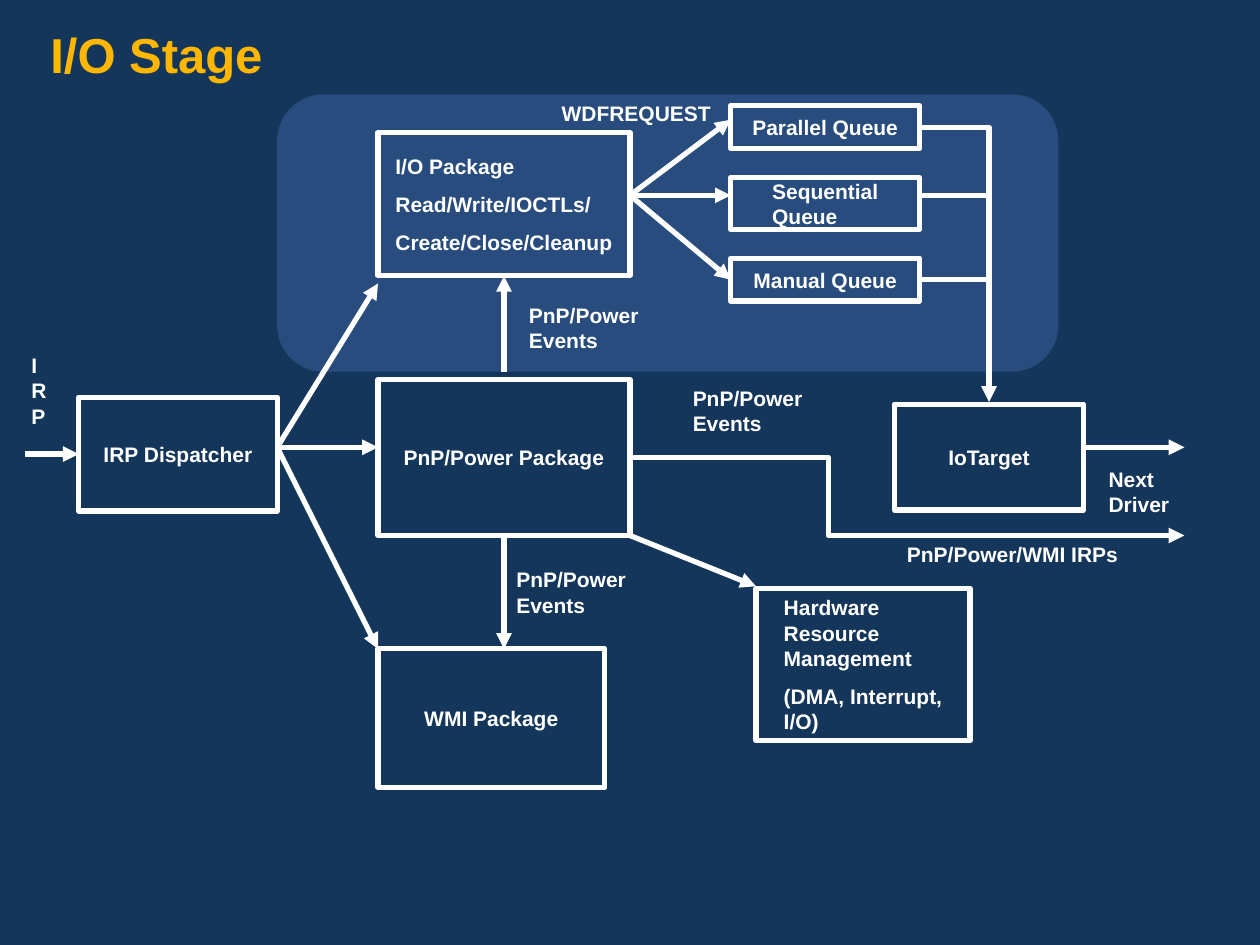
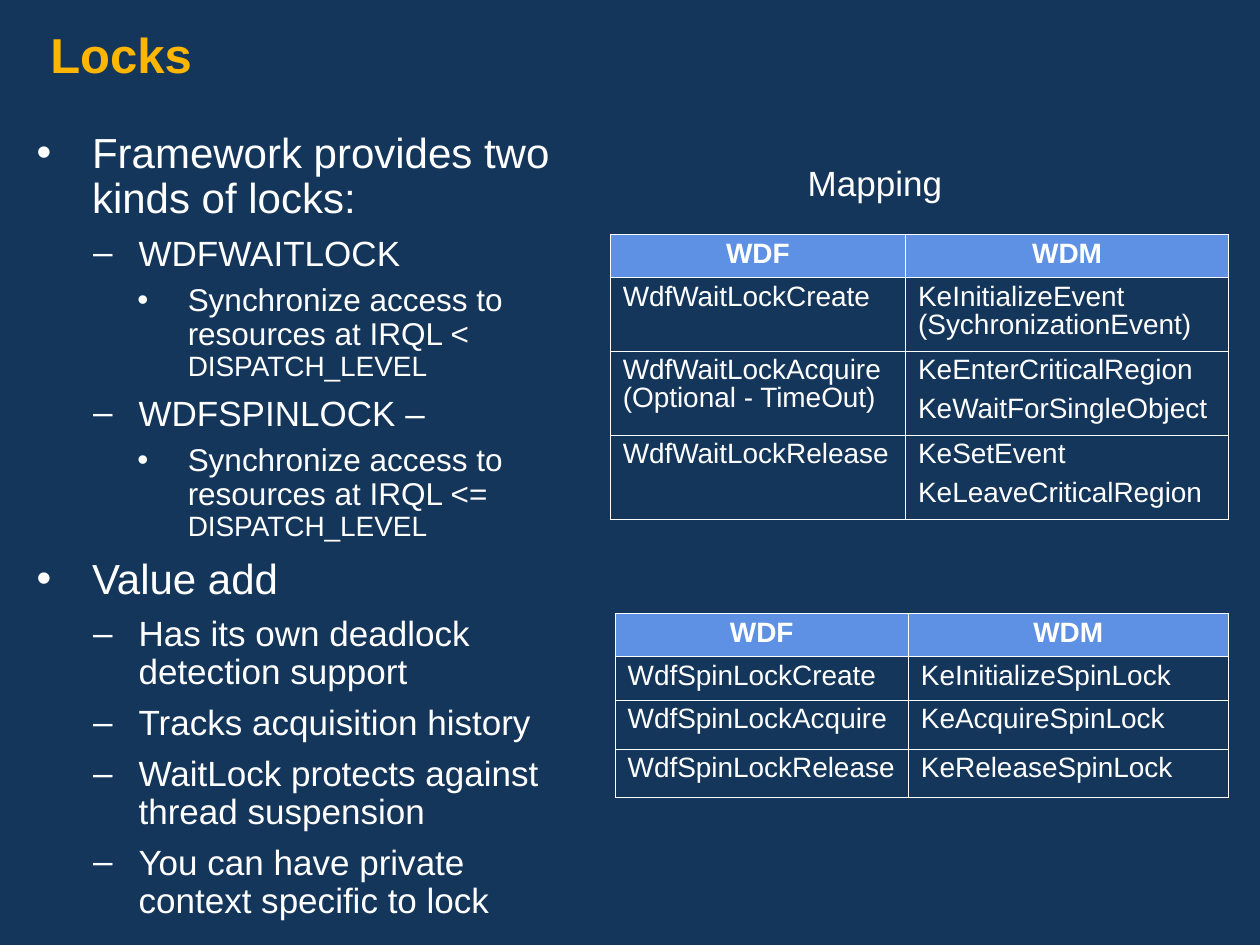
"""Build two slides on driver frameworks: the I/O stage diagram and the lock mapping."""
from lxml.etree import SubElement
from pptx import Presentation
from pptx.dml.color import RGBColor
from pptx.enum.shapes import MSO_CONNECTOR as Connector, MSO_SHAPE as Shape
from pptx.enum.text import MSO_ANCHOR as Anchor, MSO_AUTO_SIZE as AutoSize, PP_ALIGN as Align
from pptx.oxml.ns import qn
from pptx.util import Pt

COLORS = {"navy": "15365B", "gold": "FFB601", "white": "FFFFFF", "blue": "5E91E4"}
FONT = "Arial"


def color(name):
    return RGBColor.from_string(COLORS[name])


def write(paragraph, text, size, ink="white", bold=False):
    run = paragraph.add_run()
    run.text = text
    run.font.name = FONT
    run.font.size = Pt(size)
    run.font.bold = bold
    run.font.color.rgb = color(ink)


presentation = Presentation()
presentation.slide_width, presentation.slide_height = Pt(720), Pt(540)
background = presentation.slide_master.background.fill
background.solid()
background.fore_color.rgb = color("navy")

slides = []
for title_text, layout in (("I/O Stage", 5), ("Locks", 1)):
    slide = presentation.slides.add_slide(presentation.slide_layouts[layout])
    title = slide.shapes.title
    title.left, title.top, title.width, title.height = Pt(0), Pt(0), Pt(720), Pt(54)
    frame = title.text_frame
    frame.auto_size = AutoSize.NONE
    frame.vertical_anchor = Anchor.TOP
    frame.margin_left = frame.margin_right = Pt(28.8)
    frame.margin_top, frame.margin_bottom = Pt(18), Pt(3.6)
    paragraph = frame.paragraphs[0]
    paragraph.alignment = Align.LEFT
    paragraph.line_spacing = 0.9
    write(paragraph, title_text, 28, "gold", True)
    slides.append(slide)
stage_slide, locks_slide = slides

panel = stage_slide.shapes.add_shape(
    Shape.ROUNDED_RECTANGLE, Pt(158.4), Pt(54), Pt(446.4), Pt(158.4))
panel.shadow.inherit = False
panel.line.fill.background()
panel.fill.solid()
panel.fill.fore_color.rgb = color("blue")
panel_color = panel.element.spPr.find(qn("a:solidFill"))[0]
SubElement(panel_color, qn("a:alpha"), val="25000")

BOXES = {
    "dispatcher": (45, 227, 113.4, 65, ["IRP Dispatcher"]),
    "pnp": (216, 217, 144, 89, ["PnP/Power Package"]),
    "io": (216, 75.6, 144, 82, ["I/O Package", "Read/Write/IOCTLs/", "Create/Close/Cleanup"]),
    "wmi": (216, 370.8, 129.6, 79.2, ["WMI Package"]),
    "hardware": (432, 336.2, 122.4, 87.1,
                 ["Hardware Resource Management", "(DMA, Interrupt, I/O)"]),
    "parallel": (417.6, 60.5, 108, 24.5, ["Parallel Queue"]),
    "sequential": (417.6, 101.5, 108, 29.5, ["Sequential Queue"]),
    "manual": (417.6, 147.6, 108, 24.5, ["Manual Queue"]),
    "target": (511.2, 231, 108, 60.5, ["IoTarget"]),
}
boxes = {}
for name, (left, top, width, height, lines) in BOXES.items():
    box = stage_slide.shapes.add_shape(Shape.RECTANGLE, Pt(left), Pt(top), Pt(width), Pt(height))
    box.shadow.inherit = False
    box.fill.background()
    box.line.color.rgb = color("white")
    box.line.width = Pt(3)
    frame = box.text_frame
    frame.word_wrap = True
    frame.vertical_anchor = Anchor.MIDDLE
    box.element.txBody.bodyPr.set("anchorCtr", "1")
    for index, line in enumerate(lines):
        paragraph = frame.add_paragraph() if index else frame.paragraphs[0]
        paragraph.alignment = Align.LEFT
        if index:
            paragraph.space_before = Pt(7.5)
        write(paragraph, line, 12, bold=True)
    boxes[name] = box

EVENTS = "PnP/Power Events"
LABELS = [
    (stage_slide, 309.6, 54, 108, 21.6, "WDFREQUEST", 12, Align.CENTER),
    (stage_slide, 626.4, 262.8, 57.6, 36, "Next Driver", 12, Align.LEFT),
    (stage_slide, 295.2, 169.2, 86.4, 36, EVENTS, 12, Align.LEFT),
    (stage_slide, 288, 320.4, 86.4, 36, EVENTS, 12, Align.LEFT),
    (stage_slide, 388.8, 216.7, 86.4, 36, EVENTS, 12, Align.LEFT),
    (stage_slide, 10.8, 198, 15.8, 50.4, "IRP", 12, Align.LEFT),
    (stage_slide, 511.2, 306, 151.2, 21.6, "PnP/Power/WMI IRPs", 12, Align.LEFT),
    (locks_slide, 442, 88.6, 116, 31.7, "Mapping", 20, Align.CENTER),
]
for slide, left, top, width, height, text, size, alignment in LABELS:
    label = slide.shapes.add_textbox(Pt(left), Pt(top), Pt(width), Pt(height))
    label.text_frame.word_wrap = True
    paragraph = label.text_frame.paragraphs[0]
    paragraph.alignment = alignment
    write(paragraph, text, size, bold=slide is stage_slide)

CONNECTORS = [
    ("straight", (158.4, 270), (158.4, 270), True, None, None),
    ("straight", (158.4, 255.6), (216, 255.6), True, None, None),
    ("straight", (158.4, 255.6), (216, 162), True, None, None),
    ("straight", (158.4, 255.6), (216, 370.8), True, None, None),
    ("straight", (360, 111.6), (417.6, 68.4), True, None, None),
    ("straight", (360, 111.6), (417.6, 111.6), True, None, None),
    ("straight", (360, 111.6), (417.6, 159.85), True, None, ("manual", 1)),
    ("straight", (619.2, 255.6), (676.8, 255.6), True, None, None),
    ("straight", (525.6, 111.6), (565.2, 111.6), False, None, None),
    ("straight", (525.6, 159.85), (565.2, 159.85), False, ("manual", 3), None),
    ("straight", (288, 212.4), (288, 157.6), True, None, ("io", 2)),
    ("straight", (288, 306), (288, 370.8), True, ("pnp", 2), None),
    ("straight", (360, 306), (432, 335), True, None, None),
    ("straight", (14.4, 259.5), (45, 259.5), True, None, ("dispatcher", 1)),
    ("corner", (526.5, 72.75), (565.2, 229.7), True, None, None),
    ("step", (361.4, 261.4), (676.8, 306), True, None, None),
]
for route, start, end, arrow, begin_join, end_join in CONNECTORS:
    kind = Connector.STRAIGHT if route == "straight" else Connector.ELBOW
    connector = stage_slide.shapes.add_connector(kind, *map(Pt, start + end))
    if begin_join:
        connector.begin_connect(boxes[begin_join[0]], begin_join[1])
    if end_join:
        connector.end_connect(boxes[end_join[0]], end_join[1])
    connector.line.color.rgb = color("white")
    connector.line.width = Pt(3)
    properties = connector.element.spPr
    geometry = properties.find(qn("a:prstGeom"))
    if route == "corner":
        geometry.set("prst", "bentConnector2")
    elif route == "step":
        SubElement(geometry.find(qn("a:avLst")), qn("a:gd"), name="adj1", fmla="val 35500")
    if arrow:
        SubElement(properties.find(qn("a:ln")), qn("a:tailEnd"), type="triangle")
    SubElement(properties, qn("a:effectLst"))

LEVELS = [("•", 31.7, -31.7, 9, 24), ("–", 58.3, -26, 7.5, 20), ("•", 86.4, -28.8, 6, 18)]
BULLETS = [
    (0, "Framework provides two kinds of locks:", ""),
    (1, "WDFWAITLOCK", ""),
    (2, "Synchronize access to resources at IRQL < ", "DISPATCH_LEVEL"),
    (1, "WDFSPINLOCK –", ""),
    (2, "Synchronize access to resources at IRQL <= ", "DISPATCH_LEVEL"),
    (0, "Value add", ""),
    (1, "Has its own deadlock detection support", ""),
    (1, "Tracks acquisition history", ""),
    (1, "WaitLock protects against thread suspension", ""),
    (1, "You can have private context specific to lock", ""),
]
body = locks_slide.placeholders[1]
body.left, body.top, body.width, body.height = Pt(13.7), Pt(72), Pt(325.4), Pt(487.4)
frame = body.text_frame
frame.auto_size = AutoSize.NONE
frame.vertical_anchor = Anchor.TOP
for index, (level, text, constant) in enumerate(BULLETS):
    mark, margin, indent, gap, size = LEVELS[level]
    paragraph = frame.add_paragraph() if index else frame.paragraphs[0]
    paragraph.level = level
    paragraph.line_spacing = 0.9
    paragraph.space_before = Pt(gap if index else 0)
    layout = paragraph._p.get_or_add_pPr()
    layout.set("marL", str(Pt(margin)))
    layout.set("indent", str(Pt(indent)))
    bullet_color = SubElement(layout, qn("a:buClr"))
    SubElement(bullet_color, qn("a:srgbClr"), val=COLORS["white"])
    SubElement(layout, qn("a:buFont"), typeface=FONT)
    SubElement(layout, qn("a:buChar"), char=mark)
    write(paragraph, text, size)
    if constant:
        write(paragraph, constant, 16)

HEADER = (["WDF"], ["WDM"])
TABLES = [
    (348.7, 134, (168.8, 184.6), (24.8, 41.8, 48, 48), [
        HEADER,
        (["WdfWaitLockCreate"], ["KeInitializeEvent (SychronizationEvent)"]),
        (["WdfWaitLockAcquire (Optional - TimeOut)"],
         ["KeEnterCriticalRegion", "KeWaitForSingleObject"]),
        (["WdfWaitLockRelease"], ["KeSetEvent", "KeLeaveCriticalRegion"]),
    ]),
    (351.5, 350.5, (167.6, 182.7), (24.7, 25, 28, 27.5), [
        HEADER,
        (["WdfSpinLockCreate"], ["KeInitializeSpinLock"]),
        (["WdfSpinLockAcquire"], ["KeAcquireSpinLock"]),
        (["WdfSpinLockRelease"], ["KeReleaseSpinLock"]),
    ]),
]
for left, top, widths, heights, rows in TABLES:
    table = locks_slide.shapes.add_table(
        len(rows), len(widths), Pt(left), Pt(top), Pt(sum(widths)), Pt(sum(heights))).table
    table.first_row = table.horz_banding = False
    for column, width in zip(table.columns, widths):
        column.width = Pt(width)
    for row, height in zip(table.rows, heights):
        row.height = Pt(height)
    for row_index, entries in enumerate(rows):
        header = row_index == 0
        for column_index, lines in enumerate(entries):
            cell = table.cell(row_index, column_index)
            cell.margin_left = cell.margin_right = Pt(7.2)
            cell.margin_top = cell.margin_bottom = Pt(3.6)
            for edge in ("lnL", "lnR", "lnT", "lnB"):
                border = SubElement(cell._tc.get_or_add_tcPr(), qn("a:" + edge), w=str(Pt(0.45)))
                border_fill = SubElement(border, qn("a:solidFill"))
                SubElement(border_fill, qn("a:srgbClr"), val=COLORS["white"])
            if header:
                cell.fill.solid()
                cell.fill.fore_color.rgb = color("blue")
            else:
                cell.fill.background()
            for index, line in enumerate(lines):
                paragraph = cell.text_frame.add_paragraph() if index else cell.text_frame.paragraphs[0]
                paragraph.alignment = Align.CENTER if header else Align.LEFT
                paragraph.line_spacing = 0.9
                if index:
                    paragraph.space_before = Pt(6)
                write(paragraph, line, 16, bold=header)

presentation.save("out.pptx")
